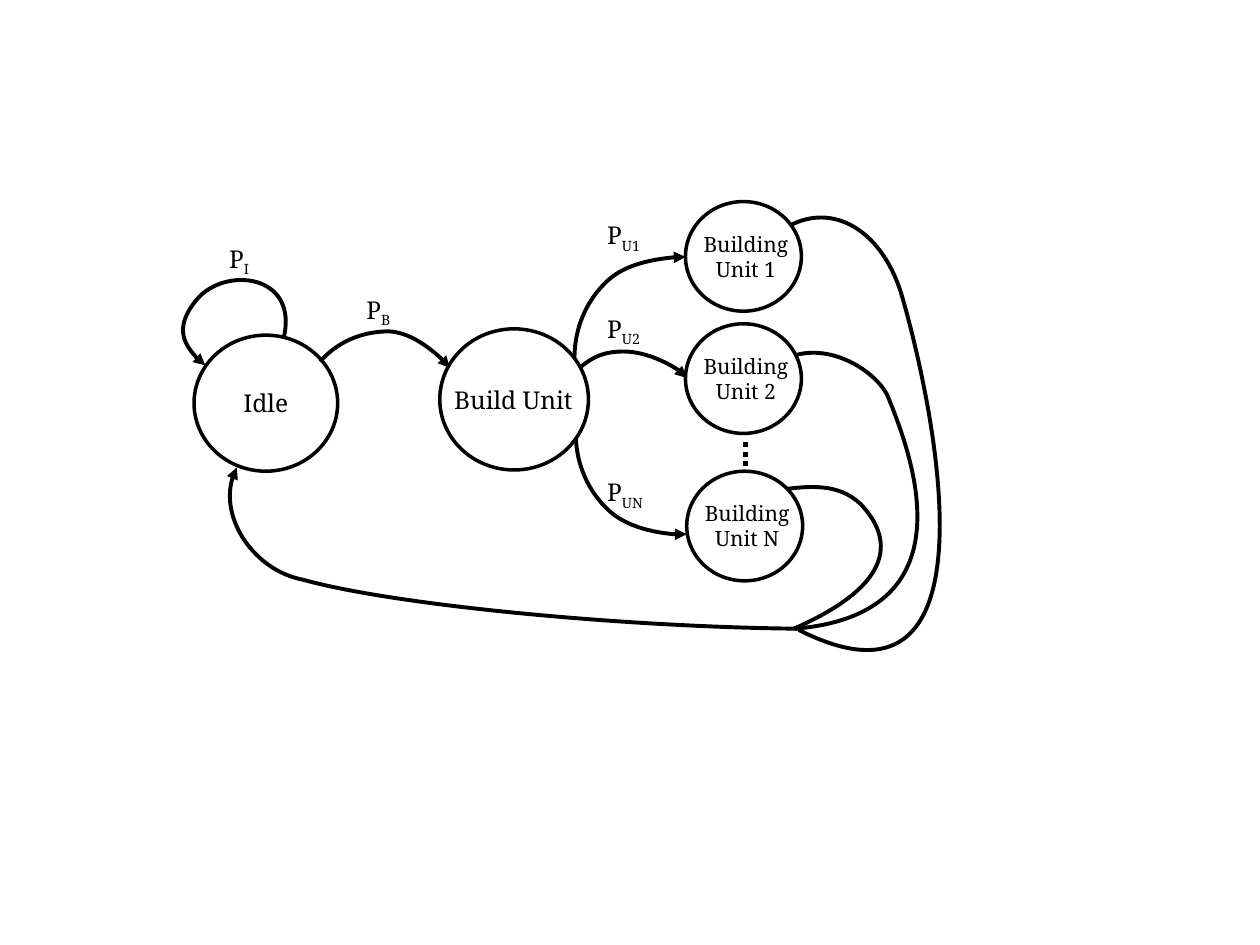
from dataclasses import dataclass
from lxml.etree import SubElement
from pptx import Presentation
from pptx.dml.color import RGBColor as RGB
from pptx.enum.dml import MSO_LINE
from pptx.enum.shapes import MSO_CONNECTOR as CONN, MSO_SHAPE as SHAPE
from pptx.enum.text import MSO_ANCHOR as ANCHOR, MSO_AUTO_SIZE as AUTO, PP_ALIGN as ALIGN
from pptx.oxml.ns import qn
from pptx.util import Inches, Pt


@dataclass(frozen=True)
class Theme:
    ink: RGB = RGB(0, 0, 0)
    paper: RGB = RGB(255, 255, 255)
    font: str = "Noto Serif"
    body: float = 14
    small: float = 12
    ring: float = 2
    edge: float = 2.25
    dots: float = 2.75


T = Theme()
prs = Presentation()
prs.slide_width, prs.slide_height = Inches(10), Inches(7.5)
slide = prs.slides.add_slide(prs.slide_layouts[6])
shapes = slide.shapes

# The slide is a grid of 1000 columns by 750 rows
CELL = prs.slide_width // 1000


def grid(*cells):
    return [round(c * CELL) for c in cells]


def set_line(sp, width):
    sp.line.color.rgb = T.ink
    sp.line.width = Pt(width)


def write(tf, paragraphs, size, align):
    """Each paragraph is a (text, subscript) pair."""
    for i, (text, sub) in enumerate(paragraphs):
        p = tf.paragraphs[0] if i == 0 else tf.add_paragraph()
        p.alignment = align
        for part, baseline in ((text, 0), (sub, -25000)):
            if not part:
                continue
            r = p.add_run()
            r.text = part
            for key, value in {"name": T.font, "size": Pt(size)}.items():
                setattr(r.font, key, value)
            r.font.color.rgb = T.ink
            if baseline:
                r._r.get_or_add_rPr().set("baseline", str(baseline))


def label(box, paragraphs, size=T.body, align=ALIGN.LEFT):
    tf = shapes.add_textbox(*grid(*box)).text_frame
    for key, value in {"word_wrap": False, "auto_size": AUTO.SHAPE_TO_FIT_TEXT}.items():
        setattr(tf, key, value)
    write(tf, paragraphs, size, align)


def state(box):
    sp = shapes.add_shape(SHAPE.OVAL, *grid(*box))
    sp.shadow.inherit = False
    sp.fill.solid()
    sp.fill.fore_color.rgb = T.paper
    set_line(sp, T.ring)
    return sp


def unit(box, name):
    """A unit circle with its two-line name in the middle."""
    x, y, w, h = box
    state(box)
    label((x + w / 2 - 42, y + h / 2 - 25, 88, 50),
          [("Building", ""), (name, "")], T.small, ALIGN.CENTER)


def bezier(a, b, c, d, t):
    u = 1 - t
    return tuple(u**3 * i + 3 * u * u * t * j + 3 * u * t * t * k + t**3 * m
                 for i, j, k, m in zip(a, b, c, d))


def curve(points, arrow=False):
    """Cubic path: a start, then three points for each segment."""
    points = [tuple(grid(*pt)) for pt in points]
    segments = [points[i:i + 4] for i in range(0, len(points) - 1, 3)]
    # Points along the curve give the shape its tight frame
    trace = [bezier(*s, n / 20) for s in segments for n in range(1, 21)]
    builder = shapes.build_freeform(*points[0])
    builder.add_line_segments(trace, close=False)
    sp = builder.convert_to_shape()
    # True cubic segments take the place of the straight ones
    path = next(sp._element.iter(qn("a:path")))
    for node in path.findall(qn("a:lnTo")):
        path.remove(node)
    for segment in segments:
        cubic = SubElement(path, qn("a:cubicBezTo"))
        for x, y in segment[1:]:
            SubElement(cubic, qn("a:pt"), x=str(x - sp.left), y=str(y - sp.top))
    sp.shadow.inherit = False
    sp.fill.background()
    set_line(sp, T.edge)
    if arrow:
        SubElement(sp.line._get_or_add_ln(), qn("a:tailEnd"), type="triangle")


def unit_column(x, y, w, h):
    """Three units, with dots before the last."""
    for dx, dy, name in ((0, 0, "Unit 1"), (0, 97, "Unit 2"), (1, 214, "Unit N")):
        unit((x + dx, y + dy, w, h), name)
    mid = x + w / 2 + 2
    dots = shapes.add_connector(CONN.STRAIGHT, *grid(mid, y + 191, mid, y + 210))
    SubElement(dots._element.spPr, qn("a:effectLst"))
    set_line(dots, T.dots)
    dots.line.dash_style = MSO_LINE.ROUND_DOT


RETURNS = [
    [(634, 500), (802, 585), (737, 306), (715, 232), (699, 182), (661, 161), (627, 179)],
    [(631, 499), (774, 487), (722, 357), (704, 313), (693, 293), (658, 272), (628, 283)],
    [(630, 499), (726, 457), (699, 417), (683, 400), (666, 384), (644, 385), (618, 389)],
]
ARROWS = [
    [(456, 288), (455, 259), (467, 237), (482, 223), (497, 209), (534, 203), (544, 204)],
    [(450, 302), (467, 283), (479, 279), (495, 279), (511, 279), (541, 292), (545, 300)],
    [(457, 340), (456, 369), (468, 391), (483, 405), (498, 419), (535, 426), (545, 424)],
    [(254, 287), (271, 268), (292, 263), (309, 263), (326, 264), (352, 284), (357, 292)],
    [(225, 269), (238, 217), (178, 211), (156, 238), (136, 262), (155, 286), (163, 290)],
    [(636, 499), (501, 498), (315, 481), (240, 460), (203, 453), (169, 406), (188, 371)],
]
PROBABILITIES = [("I", 172, 189, 39), ("B", 281, 229, 43), ("U1", 472, 170, 51),
                 ("U2", 472, 244, 51), ("UN", 472, 374, 55)]

# Ways back from the units
for points in RETURNS:
    curve(points)

# States and the arrows between them
idle = state((154, 266, 114, 108))
idle.text_frame.vertical_anchor = ANCHOR.MIDDLE
write(idle.text_frame, [("Idle", "")], T.body, ALIGN.CENTER)
unit_column(544, 160, 92, 87)
for points in ARROWS:
    curve(points, arrow=True)
state((349, 261, 118, 112))
label((349, 301, 117, 34), [("Build Unit", "")], align=ALIGN.CENTER)

# Probabilities on the arrows
for sub, x, y, w in PROBABILITIES:
    label((x, y, w, 34), [("P", sub)])

prs.save("out.pptx")
